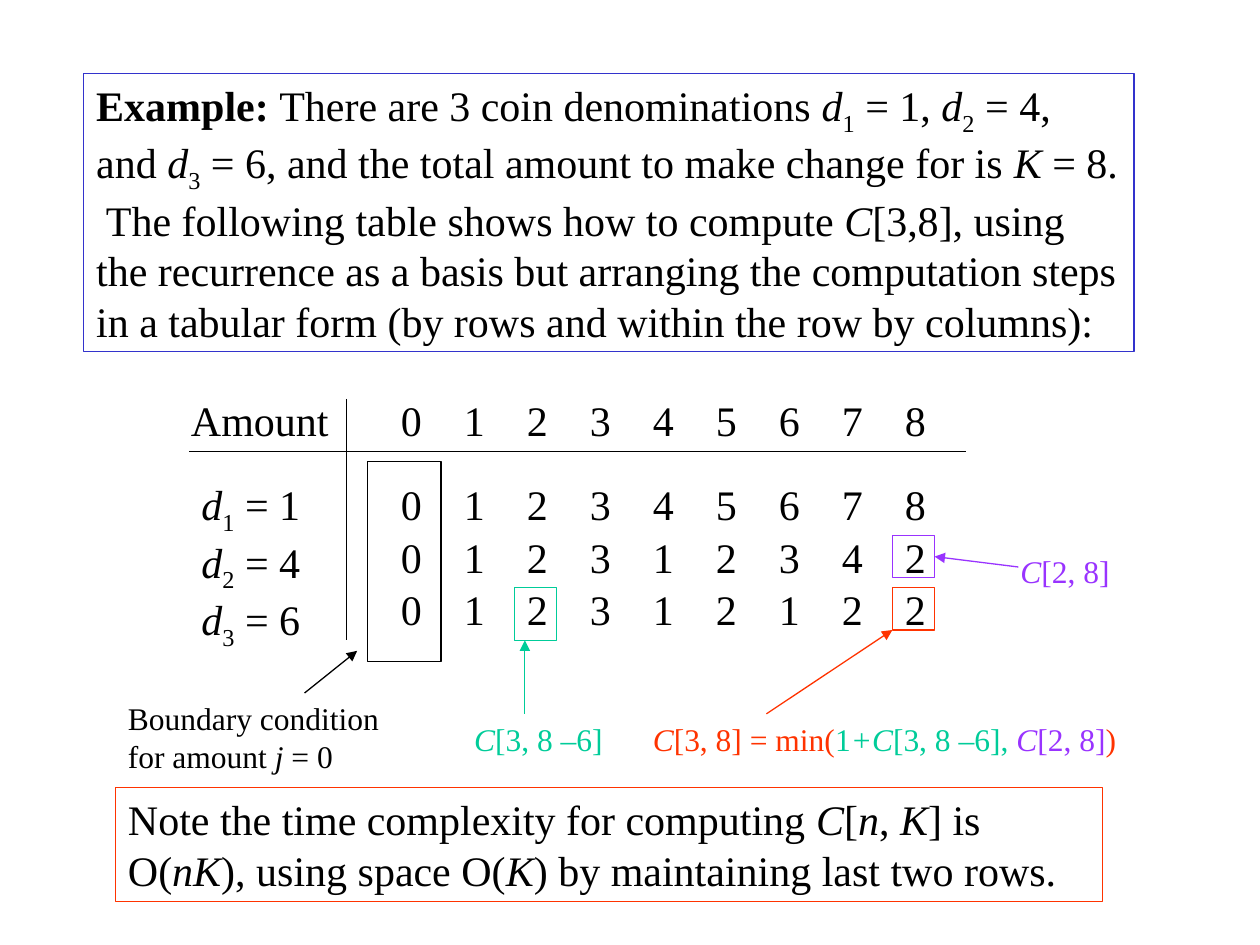
from lxml.etree import SubElement
from pptx import Presentation
from pptx.dml.color import RGBColor
from pptx.enum.shapes import MSO_CONNECTOR, MSO_SHAPE
from pptx.enum.text import MSO_ANCHOR, MSO_AUTO_SIZE, PP_ALIGN
from pptx.oxml import parse_xml
from pptx.oxml.ns import nsdecls, qn
from pptx.util import Cm, Pt

BLACK, BLUE, GREEN, PURPLE, RED = "000000", "3333CC", "00CC99", "9933FF", "FF3300"
COLUMN = 1.27  # distance between amounts, cm


def color(hex_string):
    return RGBColor.from_string(hex_string)


class SlideBuilder:
    font = "Times New Roman"
    line_width = Pt(0.75)

    def __init__(self, slide):
        self.slide = slide

    def set_text(self, frame, spans, size, ink):
        """Fill a frame; a span is text or (text, style, color), styles b, i, s(ub)."""
        frame.word_wrap = True
        frame.auto_size = MSO_AUTO_SIZE.SHAPE_TO_FIT_TEXT
        frame.vertical_anchor = MSO_ANCHOR.TOP
        para = frame.paragraphs[0]
        para.alignment = PP_ALIGN.LEFT
        para.font.name = self.font
        para.font.size = Pt(size)
        para.font.color.rgb = color(ink)
        for item in spans:
            text, style, span_ink = (item, "", None) if isinstance(item, str) else (*item, None)[:3]
            span = para.add_run()
            span.text = text
            if "b" in style:
                span.font.bold = True
            if "i" in style:
                span.font.italic = True
            if "s" in style:
                span._r.get_or_add_rPr().set("baseline", "-25000")
            if span_ink:
                span.font.color.rgb = color(span_ink)
        return para

    def text(self, left, top, width, height, spans, size=24, ink=BLACK):
        box = self.slide.shapes.add_textbox(Cm(left), Cm(top), Cm(width), Cm(height))
        return self.set_text(box.text_frame, spans, size, ink)

    def frame(self, left, top, width, height, outline, spans=()):
        box = self.slide.shapes.add_shape(
            MSO_SHAPE.RECTANGLE, Cm(left), Cm(top), Cm(width), Cm(height))
        box.shadow.inherit = False
        box.fill.background()
        box.line.color.rgb = color(outline)
        box.line.width = self.line_width
        if spans:
            self.set_text(box.text_frame, spans, 24, BLACK)

    def line(self, start, end, ink=BLACK, arrow=False):
        points = [Cm(value) for value in (*start, *end)]
        connector = self.slide.shapes.add_connector(MSO_CONNECTOR.STRAIGHT, *points)
        connector.line.color.rgb = color(ink)
        connector.line.width = self.line_width
        properties = connector._element.spPr
        if arrow:
            SubElement(properties.find(qn("a:ln")), qn("a:tailEnd"), type="triangle")
        SubElement(properties, qn("a:effectLst"))

    def number_row(self, left, top, numbers):
        para = self.text(left, top, 9 * COLUMN, 1.27, ["\t".join(numbers)])
        stops = "".join(f'<a:tab pos="{Cm(COLUMN * index)}" algn="l"/>'
                        for index in range(1, len(numbers)))
        para._p.get_or_add_pPr().insert(
            0, parse_xml(f'<a:tabLst {nsdecls("a")}>{stops}</a:tabLst>'))


def denomination(index):
    return [("d", "i"), (str(index), "s")]


def main():
    deck = Presentation()
    deck.slide_width, deck.slide_height = Cm(25.4), Cm(19.05)
    page = SlideBuilder(deck.slides.add_slide(deck.slide_layouts[6]))

    # Problem statement
    page.frame(1.69, 1.48, 21.17, 5.61, BLUE, [
        ("Example: ", "b"), "There are 3 coin denominations ",
        *denomination(1), " = 1, ", *denomination(2), " = 4, and ", *denomination(3),
        " = 6, and the total amount to make change for is ", ("K", "i"),
        " = 8.  The following table shows how to compute ", ("C", "i"),
        "[3,8], using the recurrence as a basis but arranging the computation steps "
        "in a tabular form (by rows and within the row by columns):"])

    # Table rules and row headings
    page.line((3.81, 9.1), (19.47, 9.1))
    page.line((6.99, 8.04), (6.99, 12.91))
    page.text(3.6, 7.83, 3.39, 1.27, ["Amount"])
    page.text(3.81, 9.53, 2.96, 3.73, [
        *denomination(1), " = 1 ", *denomination(2), " = 4 ", *denomination(3), " = 6"])

    # Table values
    row_left, row_tops = 7.83, (7.83, 9.53, 10.58, 11.64)
    rows = ("012345678", "012345678", "012312342", "012312122")
    for top, numbers in zip(row_tops, rows):
        page.number_row(row_left, top, numbers)

    # Highlighted cells
    page.frame(7.41, 9.31, 1.48, 4.02, BLACK)
    for row, column, height, outline in (
            (3, 2, 1.06, GREEN), (2, 8, 0.85, PURPLE), (3, 8, 0.85, RED)):
        page.frame(row_left + column * COLUMN, row_tops[row] + 0.21, 0.85, height, outline)

    # Labels
    page.text(2.33, 13.97, 6.14, 1.78,
              ["Boundary condition for amount ", ("j", "i"), " = 0"], 18)
    page.text(9.31, 14.39, 3.39, 1.02, [("C", "i"), "[3, 8 –6]"], 18, GREEN)
    page.text(20.32, 11.01, 2.54, 1.02, [("C", "i"), "[2, 8]"], 18, PURPLE)
    page.text(12.91, 14.39, 9.95, 1.02, [
        ("C", "i"), "[3, 8] = min(", ("1", "", GREEN), ("+C", "i", GREEN),
        ("[3, 8 –6], ", "", GREEN), ("C", "i", PURPLE), ("[2, 8]", "", PURPLE), ")"],
        18, RED)

    # Arrows between labels and cells
    for start, end, ink in (
            ((6.14, 13.97), (7.2, 13.12), BLACK),
            ((10.58, 14.39), (10.58, 12.91), GREEN),
            ((20.53, 11.43), (18.84, 11.22), PURPLE),
            ((15.45, 14.39), (17.99, 12.7), RED)):
        page.line(start, end, ink, arrow=True)

    # Complexity note
    page.frame(2.33, 15.88, 19.9, 2.29, RED, [
        "Note the time complexity for computing ", ("C", "i"), "[", ("n", "i"), ", ",
        ("K", "i"), "] is O(", ("nK", "i"), "), using space O(", ("K", "i"),
        ") by maintaining last two rows."])

    deck.save("out.pptx")


if __name__ == "__main__":
    main()
